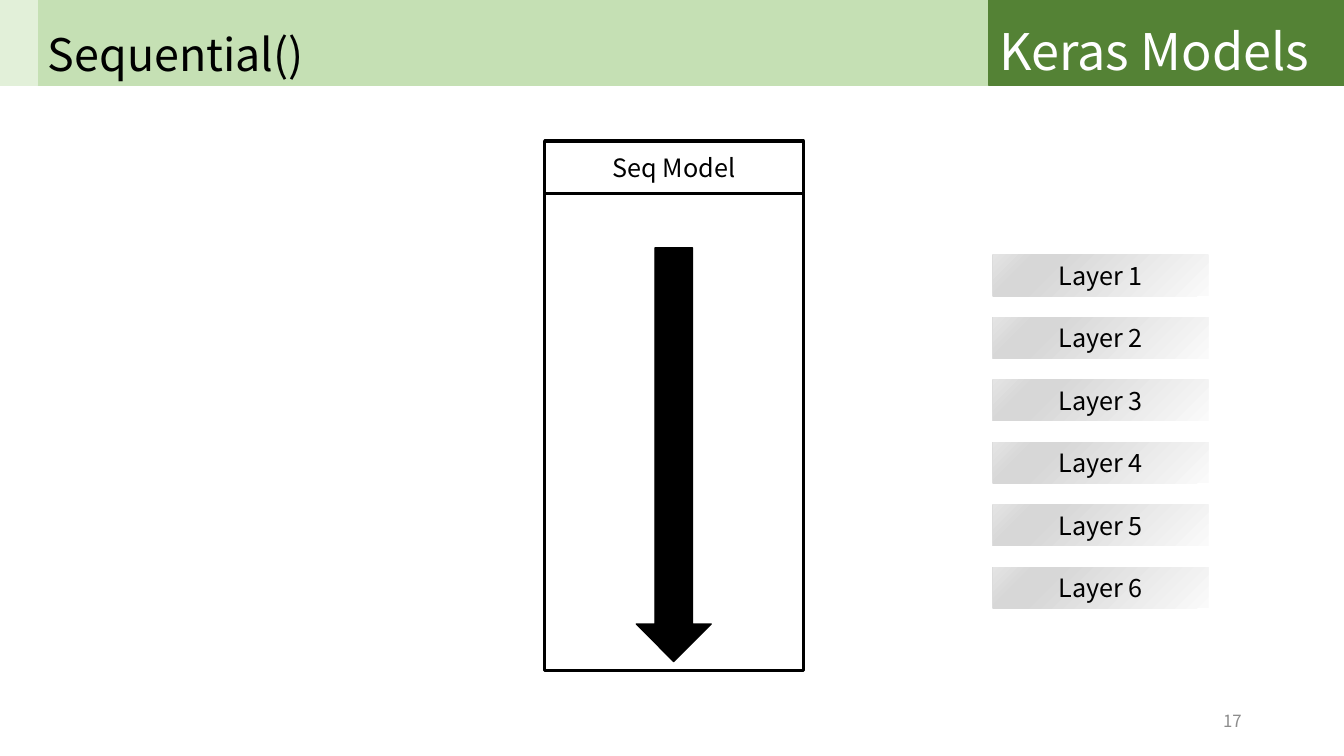
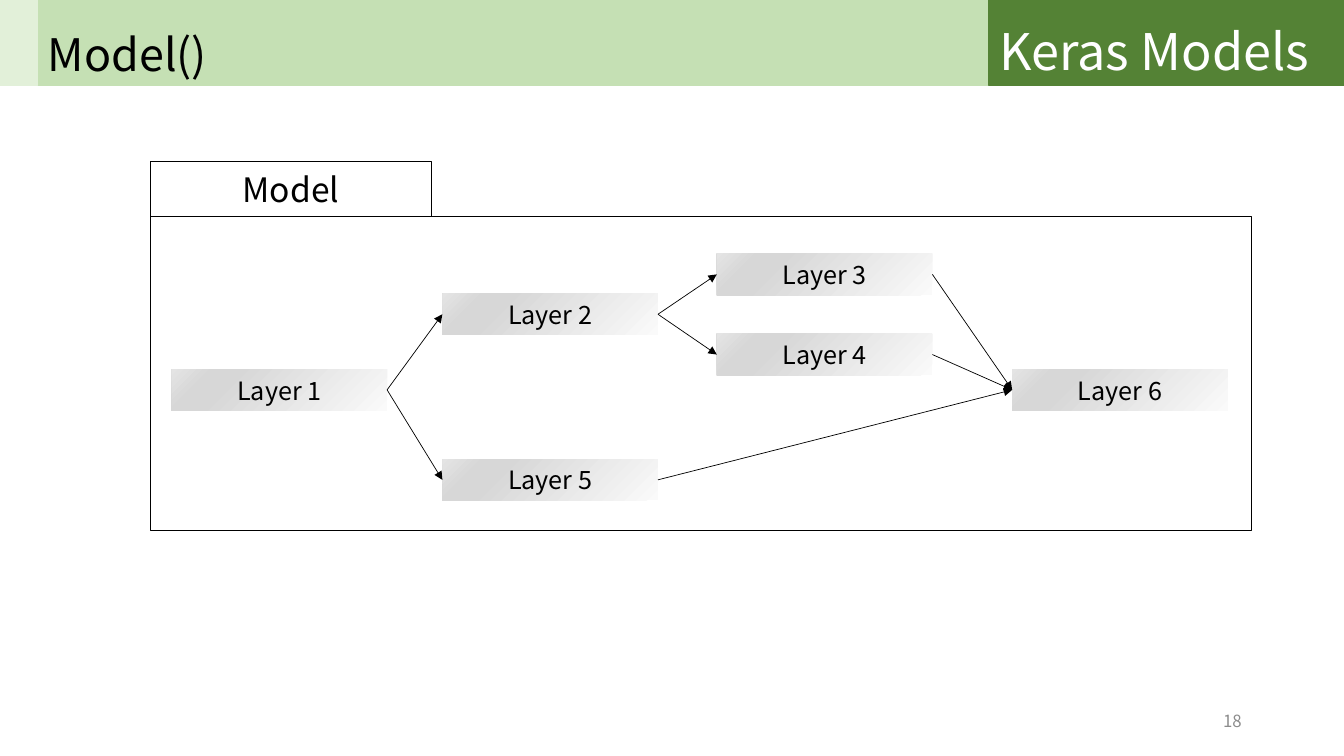
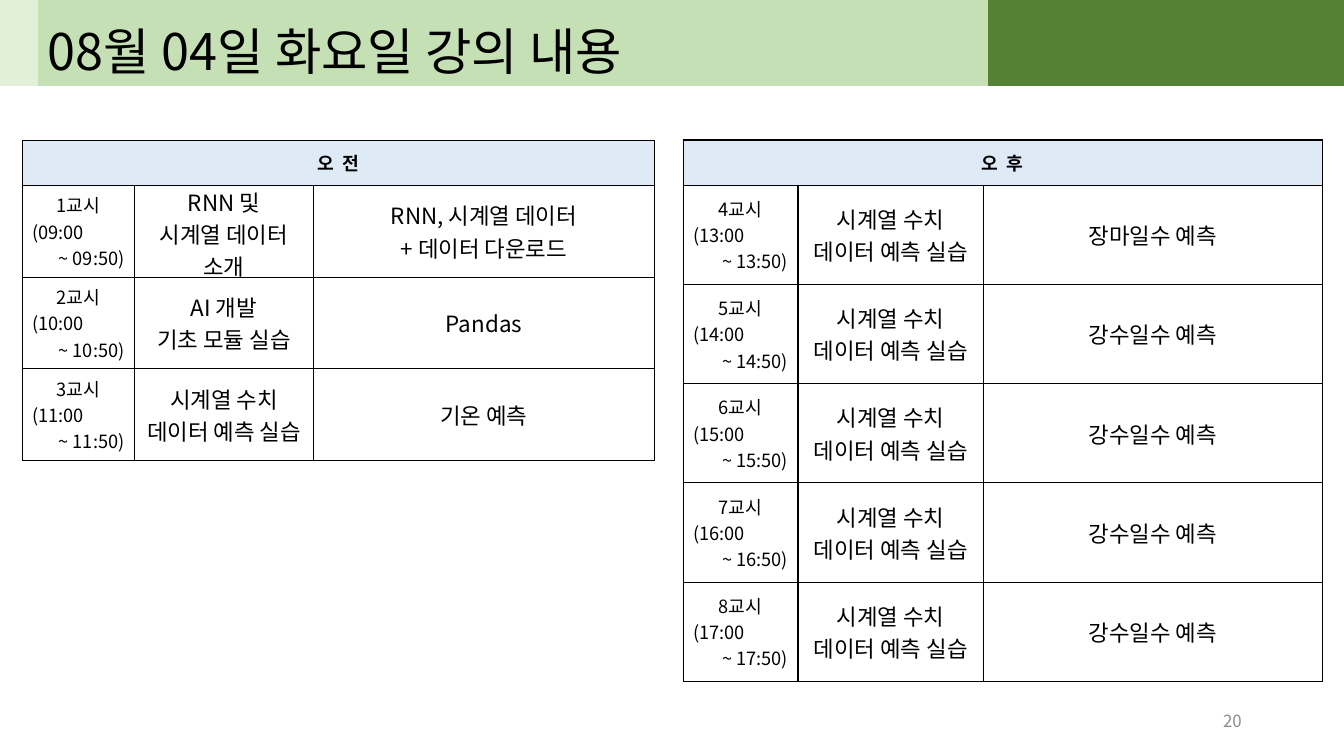
from dataclasses import dataclass

from lxml.etree import SubElement
from pptx import Presentation
from pptx.dml.color import RGBColor as Rgb
from pptx.enum.shapes import MSO_CONNECTOR as Link
from pptx.enum.shapes import MSO_SHAPE as Form
from pptx.enum.text import MSO_ANCHOR as Anchor
from pptx.enum.text import MSO_AUTO_SIZE as Auto
from pptx.enum.text import PP_ALIGN as Align
from pptx.oxml import parse_xml
from pptx.oxml.ns import nsdecls, qn
from pptx.shapes.autoshape import Shape
from pptx.slide import Slide
from pptx.table import _Cell as Cell
from pptx.text.text import TextFrame as Frame
from pptx.util import Pt

FONT = "Noto Sans CJK KR"
HUES = {
    "black": "000000",
    "white": "FFFFFF",
    "gray": "8C8C8C",
    "pale": "E2F0D9",
    "light": "C5E0B4",
    "deep": "548235",
    "blue": "DEEBF7",
}
SHADE = [(0, "FAFAFA"), (74, "D7D7D7"), (83, "D7D7D7"), (100, "E4E4E4")]
SHADE_TURN = 225
LEFT, MID, RIGHT = Align.LEFT, Align.CENTER, Align.RIGHT
LEFT_SITE, RIGHT_SITE = 1, 3
LAYER_WIDTH, LAYER_HEIGHT = 154, 29.5


@dataclass(frozen=True)
class Box:
    left: float
    top: float
    width: float
    height: float

    def sides(self) -> list[Pt]:
        return [Pt(n) for n in (self.left, self.top, self.width, self.height)]


@dataclass(frozen=True)
class Style:
    size: float
    hue: str = "black"
    align: Align = LEFT
    bold: bool = False


@dataclass(frozen=True)
class Lesson:
    num: int
    hour: int
    topic: list[str]
    work: list[str]


@dataclass(frozen=True)
class Plan:
    head: str
    left: float
    top: float
    cols: list[float]
    head_height: float
    row_height: float
    lessons: list[Lesson]


PALE_BAND = Box(0, 0, 27, 61)
TITLE_BAND = Box(27, 0, 679.5, 61)
DEEP_BAND = Box(706.5, 0, 253.5, 61)
PAGE_BOX = Box(678, 500.5, 216, 29)

NODES = {
    1: (122.5, 263.75),
    2: (316, 209.75),
    3: (512, 181.25),
    4: (512, 238.5),
    5: (316, 328),
    6: (723, 263.75),
}
EDGES = [(1, 2), (1, 5), (2, 3), (2, 4), (5, 6), (3, 6), (4, 6)]

SERIES = ["시계열 수치", "데이터 예측 실습"]
RAIN = ["강수일수 예측"]
PLANS = [
    Plan("오  전", 16, 100.5, [80, 128, 243.5], 32, 65.5, [
        Lesson(1, 9, ["RNN 및", "시계열 데이터", "소개"],
               ["RNN, 시계열 데이터", "+ 데이터 다운로드"]),
        Lesson(2, 10, ["AI 개발", "기초 모듈 실습"], ["Pandas"]),
        Lesson(3, 11, SERIES, ["기온 예측"]),
    ]),
    Plan("오  후", 488, 100, [82, 132.5, 242], 32.25, 70.9, [
        Lesson(4, 13, SERIES, ["장마일수 예측"]),
        *[Lesson(num, num + 9, SERIES, RAIN) for num in range(5, 9)],
    ]),
]


def color(hue: str) -> Rgb:
    return Rgb.from_string(HUES[hue])


def write(frame: Frame, lines: list[str], styles: list[Style]) -> None:
    for i, (line, style) in enumerate(zip(lines, styles)):
        para = frame.paragraphs[0] if i == 0 else frame.add_paragraph()
        para.text = line
        para.alignment = style.align
        font = para.font
        font.size = Pt(style.size)
        font.bold = style.bold
        font.color.rgb = color(style.hue)
        font.name = FONT
        base = para._p.pPr.find(qn("a:defRPr"))
        SubElement(base, qn("a:ea")).set("typeface", FONT)


def paint(shape: Shape, fill: str | None, line: str | None,
          weight: float = 1) -> None:
    if fill:
        shape.fill.solid()
        shape.fill.fore_color.rgb = color(fill)
    else:
        shape.fill.background()
    if line:
        shape.line.color.rgb = color(line)
        shape.line.width = Pt(weight)
    else:
        shape.line.fill.background()


def add_form(slide: Slide, box: Box, fill: str | None, line: str | None,
             weight: float = 1, form: Form = Form.RECTANGLE) -> Shape:
    shape = slide.shapes.add_shape(form, *box.sides())
    shape.shadow.inherit = False
    paint(shape, fill, line, weight)
    return shape


def add_layer(slide: Slide, num: int, left: float, top: float) -> Shape:
    shape = add_form(slide, Box(left, top, LAYER_WIDTH, LAYER_HEIGHT),
                     None, None)
    shape.fill.gradient()
    grad = shape._element.spPr.find(qn("a:gradFill"))
    stops = "".join(
        f'<a:gs pos="{pos * 1000}"><a:srgbClr val="{hue}"/></a:gs>'
        for pos, hue in SHADE)
    for child in list(grad):
        grad.remove(child)
    grad.append(parse_xml(f'<a:gsLst {nsdecls("a")}>{stops}</a:gsLst>'))
    grad.append(parse_xml(
        f'<a:lin {nsdecls("a")} ang="{SHADE_TURN * 60000}" scaled="0"/>'))
    write(shape.text_frame, [f"Layer {num}"], [Style(18, align=MID)])
    return shape


def add_edge(slide: Slide, start: Shape, end: Shape) -> None:
    edge = slide.shapes.add_connector(Link.STRAIGHT, 0, 0, 0, 0)
    edge.begin_connect(start, RIGHT_SITE)
    edge.end_connect(end, LEFT_SITE)
    edge.line.color.rgb = color("black")
    edge.line.width = Pt(0.5)
    SubElement(edge.line._get_or_add_ln(), qn("a:tailEnd")).set(
        "type", "triangle")
    SubElement(edge._element.spPr, qn("a:effectLst"))


def add_page(deck: Presentation, title: str, size: float, page: int,
             label: str = "") -> Slide:
    slide = deck.slides.add_slide(deck.slide_layouts[5])
    head = slide.shapes.title
    head.left, head.top, head.width, head.height = TITLE_BAND.sides()
    paint(head, "light", "light")
    frame = head.text_frame
    frame.auto_size = Auto.NONE
    frame.vertical_anchor = Anchor.BOTTOM
    write(frame, [title], [Style(size)])
    add_form(slide, PALE_BAND, "pale", "pale")
    band = add_form(slide, DEEP_BAND, "deep", "deep")
    if label:
        band.text_frame.vertical_anchor = Anchor.BOTTOM
        write(band.text_frame, [label], [Style(36, "white")])
    note = slide.shapes.add_textbox(*PAGE_BOX.sides()).text_frame
    note.word_wrap = True
    note.vertical_anchor = Anchor.MIDDLE
    write(note, [str(page)], [Style(12, "gray", RIGHT)])
    return slide


def set_cell(cell: Cell, lines: list[str], styles: list[Style],
             tight: bool = False) -> None:
    cell.vertical_anchor = Anchor.MIDDLE
    if tight:
        cell.margin_left = cell.margin_right = Pt(0)
        cell.margin_top = cell.margin_bottom = Pt(0)
    write(cell.text_frame, lines, styles)


def frame_cell(cell: Cell, fill: str | None) -> None:
    if fill:
        cell.fill.solid()
        cell.fill.fore_color.rgb = color(fill)
    else:
        cell.fill.background()
    props = cell._tc.get_or_add_tcPr()
    for i, side in enumerate("LRTB"):
        props.insert(i, parse_xml(
            f'<a:ln{side} {nsdecls("a")} w="{Pt(1)}"><a:solidFill>'
            f'<a:srgbClr val="{HUES["black"]}"/></a:solidFill></a:ln{side}>'))


def add_plan(slide: Slide, plan: Plan) -> None:
    count = len(plan.lessons)
    box = Box(plan.left, plan.top, sum(plan.cols),
              plan.head_height + count * plan.row_height)
    table = slide.shapes.add_table(
        count + 1, len(plan.cols), *box.sides()).table
    table.first_row = table.horz_banding = False
    for col, width in zip(table.columns, plan.cols):
        col.width = Pt(width)
    for i, row in enumerate(table.rows):
        row.height = Pt(plan.row_height if i else plan.head_height)
        for cell in row.cells:
            frame_cell(cell, None if i else "blue")
    table.cell(0, 0).merge(table.cell(0, len(plan.cols) - 1))
    set_cell(table.cell(0, 0), [plan.head], [Style(13, align=MID, bold=True)])
    times = [Style(13, align=side) for side in (MID, LEFT, RIGHT)]
    for i, item in enumerate(plan.lessons, 1):
        span = [f"{item.num}교시", f"({item.hour:02}:00", f"~ {item.hour:02}:50)"]
        set_cell(table.cell(i, 0), span, times)
        for j, lines in enumerate((item.topic, item.work), 1):
            set_cell(table.cell(i, j), lines,
                     [Style(16, align=MID)] * len(lines), tight=True)


def draw_stack(deck: Presentation) -> None:
    slide = add_page(deck, "Sequential()", 32, 17, "Keras Models")
    add_form(slide, Box(389, 138.25, 185, 341), "white", "black", 2.25)
    add_form(slide, Box(454.5, 177, 53.5, 295.5), "black", "black",
             form=Form.DOWN_ARROW)
    for i in range(6):
        add_layer(slide, i + 1, 709.25, 182 + 44.6 * i)
    head = add_form(slide, Box(389, 100.75, 185, 37.5), "white", "black", 2.25)
    write(head.text_frame, ["Seq Model"], [Style(18, align=MID)])


def draw_graph(deck: Presentation) -> None:
    slide = add_page(deck, "Model()", 32, 18, "Keras Models")
    nodes = {num: add_layer(slide, num, *spot) for num, spot in NODES.items()}
    for start, end in EDGES:
        add_edge(slide, nodes[start], nodes[end])
    add_form(slide, Box(107.25, 155, 786.5, 224), None, "black", 0.75)
    tab = add_form(slide, Box(107.25, 115.25, 201, 39.75), None, "black", 0.75)
    write(tab.text_frame, ["Model"], [Style(24, align=MID)])


def draw_plans(deck: Presentation) -> None:
    slide = add_page(deck, "08월 04일 화요일 강의 내용", 36, 20)
    for plan in PLANS:
        add_plan(slide, plan)


def main() -> None:
    deck = Presentation()
    deck.slide_width, deck.slide_height = Pt(960), Pt(540)
    draw_stack(deck)
    draw_graph(deck)
    draw_plans(deck)
    deck.save("out.pptx")


if __name__ == "__main__":
    main()
